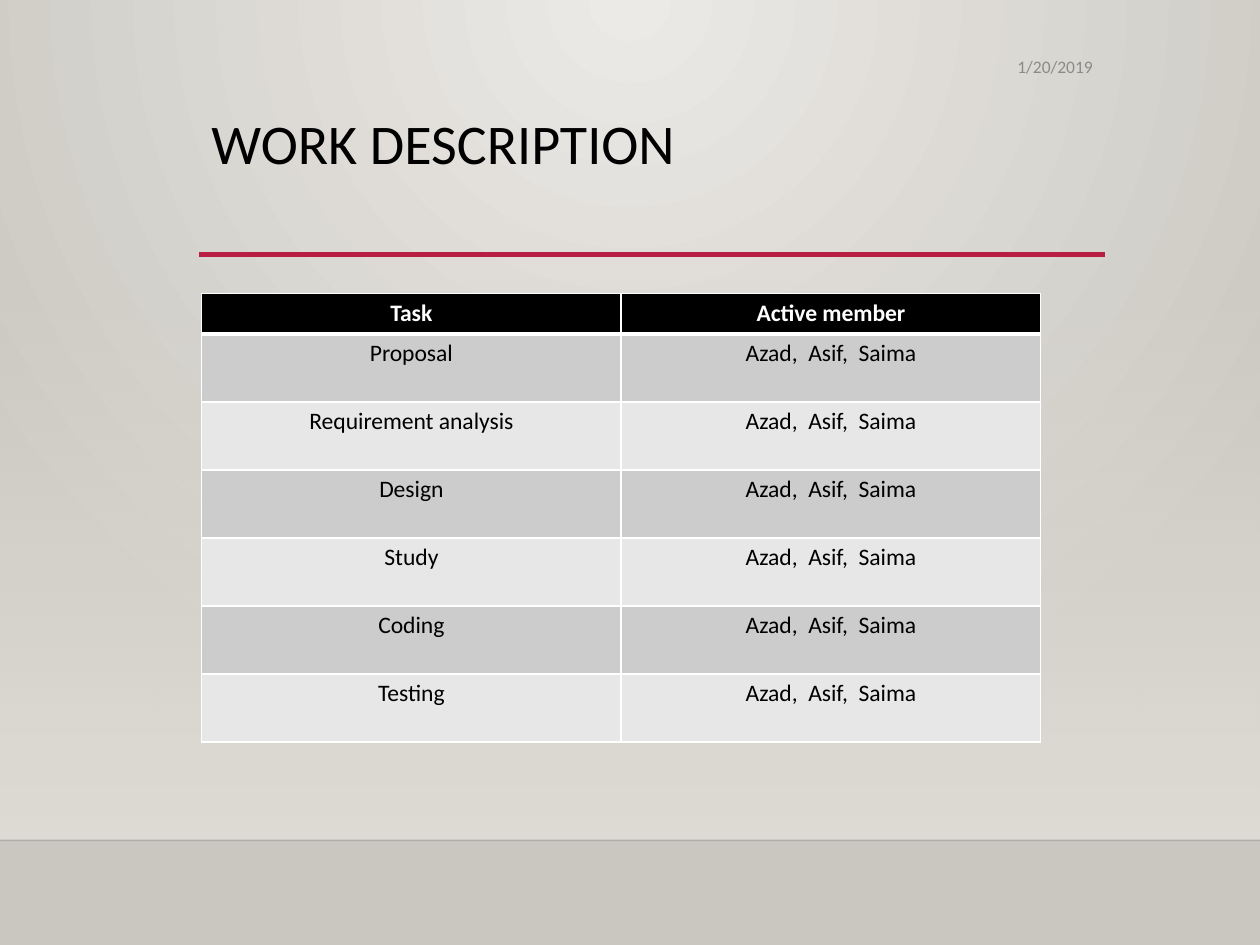
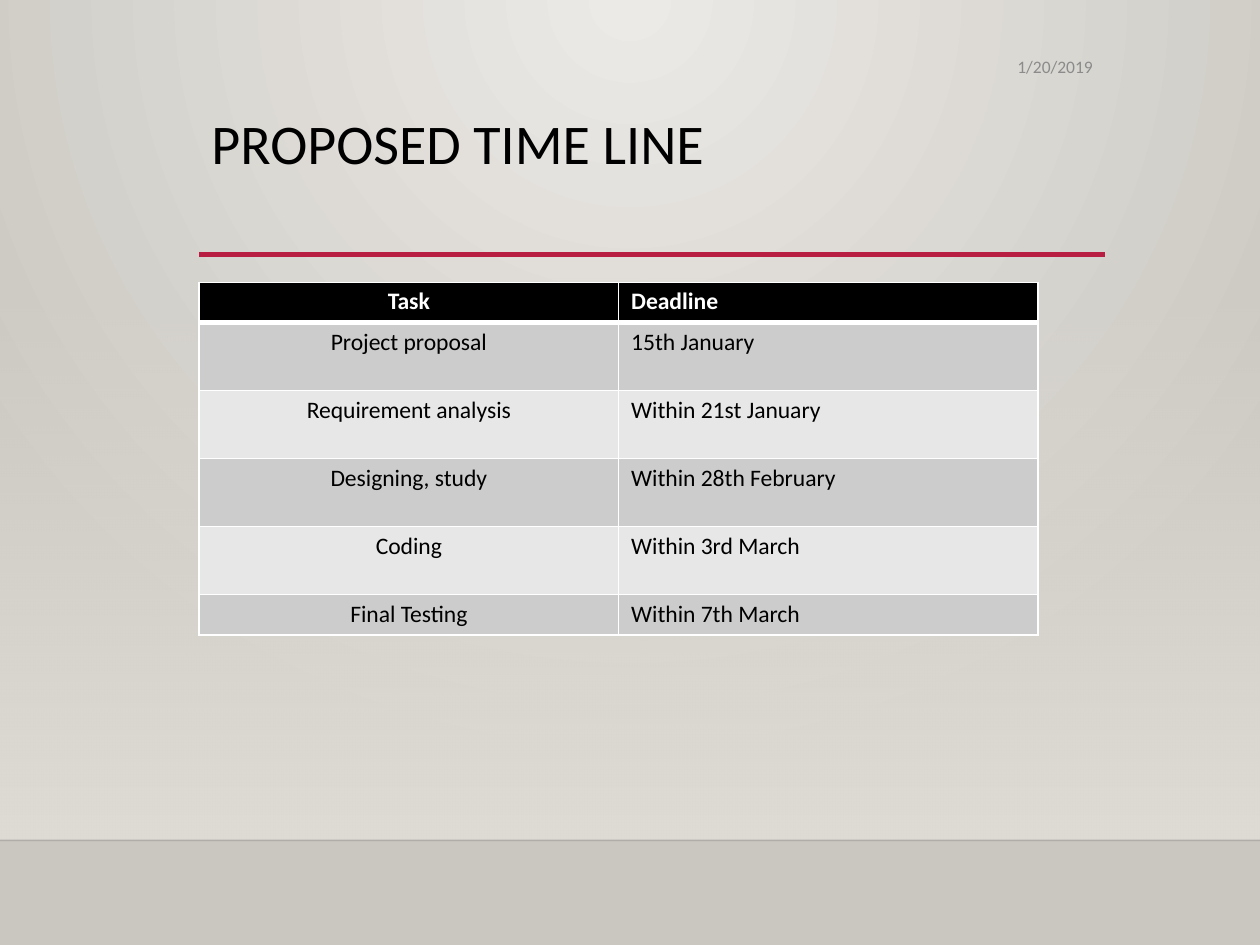
from lxml.etree import SubElement
from pptx import Presentation
from pptx.dml.color import RGBColor
from pptx.enum.shapes import MSO_CONNECTOR as Connector, MSO_SHAPE as Shape
from pptx.enum.text import MSO_ANCHOR as Anchor, PP_ALIGN as Align
from pptx.oxml.ns import qn
from pptx.util import Inches, Pt

FONT = "Calibri"
BLACK, WHITE, RED, GREY = "000000", "FFFFFF", "B71E42", "8B8B8B"
GLOW, STONE, SAND = "ECEAE7", "CAC7C1", "DFDBD5"
BANDS = ("CCCCCC", "E7E7E7")
SLIDE_WIDTH, SLIDE_HEIGHT = 10, 7.5
FLOOR_BOX = (0, 2.2, SLIDE_WIDTH, 4.47)
TITLE_BOX = (1.58, 0.87, 7.19, 1.15)
DATE_BOX = (6.18, 0.36, 2.59, 0.34)
DATE = "1/20/2019"
COLUMN_WIDTH = 3.33
SHORT_ROW, TALL_ROW = 0.32, 0.54
THIN, THICK = 0.96, 3


def color(value):
    return RGBColor.from_string(value)


def set_alpha(element, percent):
    first_color = next(element.iter(qn("a:srgbClr")))
    SubElement(first_color, qn("a:alpha"), val=str(percent * 1000))


def set_gradient(fill, start, end):
    fill.gradient()
    for stop, value in zip(fill.gradient_stops, (start, end)):
        stop.color.rgb = color(value)


def add_run(paragraph, text, size, value, bold=False):
    run = paragraph.add_run()
    run.text = text
    run.font.name = FONT
    run.font.size = Pt(size)
    run.font.bold = bold
    run.font.color.rgb = color(value)


def add_text(slide, box, text, size, value, align=Align.LEFT, anchor=Anchor.TOP, spacing=1.0):
    frame = slide.shapes.add_textbox(*map(Inches, box)).text_frame
    frame.word_wrap = True
    frame.vertical_anchor = anchor
    paragraph = frame.paragraphs[0]
    paragraph.alignment = align
    paragraph.line_spacing = spacing
    add_run(paragraph, text, size, value)


def add_rule(slide, left, top, width, value, weight):
    rule = slide.shapes.add_connector(
        Connector.STRAIGHT, Inches(left), Inches(top), Inches(left + width), Inches(top))
    rule.line.color.rgb = color(value)
    rule.line.width = Pt(weight)
    SubElement(rule.element.spPr, qn("a:effectLst"))
    return rule


def set_background(master):
    set_gradient(master.background.fill, GLOW, STONE)
    gradient = next(master.element.iter(qn("a:gradFill")))
    gradient.remove(gradient.find(qn("a:lin")))
    circle = SubElement(gradient, qn("a:path"), path="circle")
    SubElement(circle, qn("a:fillToRect"), l="43000", t="0", r="43000", b="100000")


def add_floor(slide, box):
    left, top, width, height = box
    haze = slide.shapes.add_shape(Shape.RECTANGLE, *map(Inches, box))
    haze.shadow.inherit = False
    haze.line.fill.background()
    set_gradient(haze.fill, SAND, SAND)
    haze.fill.gradient_angle = 270
    set_alpha(haze.element.spPr, 0)
    edge = add_rule(slide, left, top + height, width, BLACK, 1)
    set_alpha(edge.element.spPr, 20)


def add_title(slide, box, text):
    left, top, width, height = box
    add_rule(slide, left, top + height, width, RED, 2.5)
    add_text(slide, box, text, 32, BLACK, spacing=0.9)


def set_borders(cell, top, bottom):
    properties = cell._tc.get_or_add_tcPr()
    for side, weight in (("L", THIN), ("R", THIN), ("T", top), ("B", bottom)):
        line = SubElement(properties, qn(f"a:ln{side}"), w=str(Pt(weight)))
        fill = SubElement(line, qn("a:solidFill"))
        SubElement(fill, qn("a:srgbClr"), val=WHITE)


def add_cell(cell, text, row, align):
    header = row == 0
    set_borders(cell, THICK if row == 1 else THIN, THICK if header else THIN)
    cell.fill.solid()
    cell.fill.fore_color.rgb = color(BLACK if header else BANDS[(row - 1) % 2])
    cell.margin_top = cell.margin_bottom = Inches(0.04)
    paragraph = cell.text_frame.paragraphs[0]
    paragraph.alignment = align
    add_run(paragraph, text, 13.5, WHITE if header else BLACK, header)


def add_task_table(slide, left, top, rows, heights, alignments):
    columns = len(alignments)
    table = slide.shapes.add_table(
        len(rows), columns, Inches(left), Inches(top),
        Inches(columns * COLUMN_WIDTH), Inches(sum(heights))).table
    table.horz_banding = False
    for column in table.columns:
        column.width = Inches(COLUMN_WIDTH)
    for index, (texts, height) in enumerate(zip(rows, heights)):
        table.rows[index].height = Inches(height)
        for cell, text, align in zip(table.rows[index].cells, texts, alignments):
            add_cell(cell, text, index, align)


def add_base_slide(presentation, title):
    slide = presentation.slides.add_slide(presentation.slide_layouts[6])
    add_floor(slide, FLOOR_BOX)
    add_title(slide, TITLE_BOX, title)
    add_text(slide, DATE_BOX, DATE, 10, GREY, Align.RIGHT, Anchor.MIDDLE)
    return slide


def add_work_slide(presentation):
    slide = add_base_slide(presentation, "WORK DESCRIPTION")
    tasks = ("Proposal", "Requirement analysis", "Design", "Study", "Coding", "Testing")
    rows = [("Task", "Active member")] + [(task, "Azad,  Asif,  Saima") for task in tasks]
    heights = [SHORT_ROW] + [TALL_ROW] * len(tasks)
    add_task_table(slide, 1.6, 2.33, rows, heights, (Align.CENTER, Align.CENTER))


def add_timeline_slide(presentation):
    slide = add_base_slide(presentation, "PROPOSED TIME LINE")
    rows = [
        ("Task", "Deadline"),
        ("Project proposal", "15th January"),
        ("Requirement analysis", "Within 21st January"),
        ("Designing, study", "Within 28th February"),
        ("Coding", "Within 3rd March"),
        ("Final Testing", "Within 7th March"),
    ]
    heights = [SHORT_ROW] + [TALL_ROW] * (len(rows) - 2) + [SHORT_ROW]
    add_task_table(slide, 1.58, 2.24, rows, heights, (Align.CENTER, Align.LEFT))


def main():
    presentation = Presentation()
    presentation.slide_width = Inches(SLIDE_WIDTH)
    presentation.slide_height = Inches(SLIDE_HEIGHT)
    set_background(presentation.slide_master)
    add_work_slide(presentation)
    add_timeline_slide(presentation)
    presentation.save("out.pptx")


if __name__ == "__main__":
    main()
